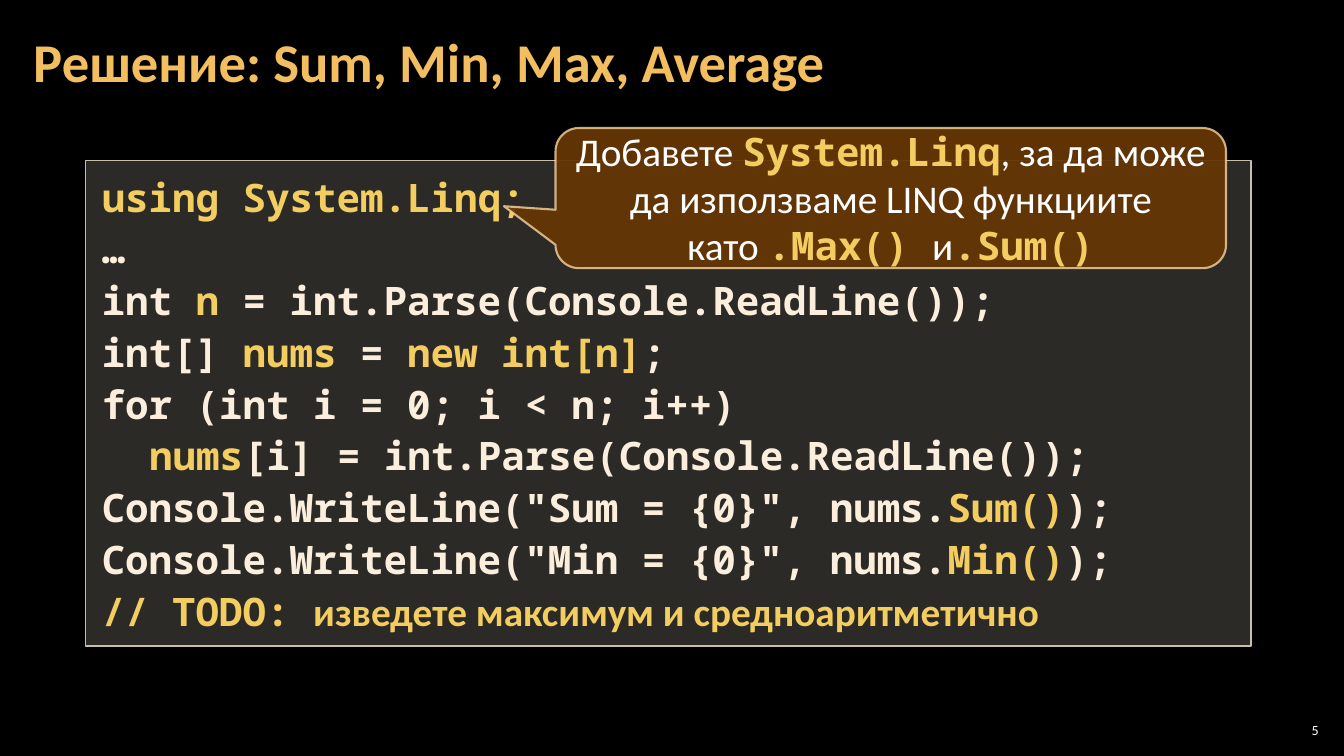
from pptx import Presentation
from pptx.dml.color import RGBColor
from pptx.enum.shapes import MSO_SHAPE as Preset
from pptx.enum.text import MSO_ANCHOR as Anchor, PP_ALIGN as Align
from pptx.oxml.ns import qn
from pptx.util import Inches, Pt
from lxml.etree import SubElement

BLACK = RGBColor(0x00, 0x00, 0x00)
WHITE = RGBColor(0xFF, 0xFF, 0xFF)
ORANGE = RGBColor(0xF3, 0xBE, 0x60)
YELLOW = RGBColor(0xF3, 0xCD, 0x60)
CREAM = RGBColor(0xFB, 0xEE, 0xDC)
STONE = RGBColor(0xD9, 0xD5, 0xC7)
STONE_EDGE = RGBColor(0xC7, 0xBF, 0xAC)
BROWN = RGBColor(0x66, 0x36, 0x06)
BROWN_EDGE = RGBColor(0xF8, 0xD4, 0x9E)

SANS, MONO = "Calibri", "Noto Sans Mono"
CODE_SIZE = 28
CODE_INDENT = Inches(0.47)  # two monospaced characters

# Run styles: font, colour, bold
PLAIN = (MONO, CREAM, True)
KEY = (MONO, YELLOW, True)
TODO = (SANS, YELLOW, True)
SPEECH = (SANS, WHITE, False)

# Each code line: indent level, then its runs
CODE = [
    (0, [("using System.Linq;", KEY)]),
    (0, [("…", PLAIN)]),
    (0, [("int ", PLAIN), ("n", KEY),
         (" = int.Parse(Console.ReadLine());", PLAIN)]),
    (0, [("int[] ", PLAIN), ("nums", KEY), (" = ", PLAIN),
         ("new int[n]", KEY), (";", PLAIN)]),
    (0, [("for (int i = 0; i < n; i++)", PLAIN)]),
    (1, [("nums", KEY), ("[i] = int.Parse(Console.ReadLine());", PLAIN)]),
    *[(0, [(f'Console.WriteLine("{name} = {{0}}", nums.', PLAIN),
           (f"{name}()", KEY), (");", PLAIN)]) for name in ("Sum", "Min")],
    (0, [("// TODO: ", KEY),
         ("изведете максимум и средноаритметично", TODO)]),
]
HINT = [
    ("Добавете ", SPEECH), ("System.Linq", KEY),
    (", за да може да използваме LINQ функциите като ", SPEECH),
    (".Max() ", KEY), ("и", SPEECH), (".Sum()", KEY),
]


def add_runs(para, runs, size):
    for text, (font, color, bold) in runs:
        span = para.add_run()
        span.text = text
        span.font.name, span.font.size, span.font.bold = font, Pt(size), bold
        span.font.color.rgb = color


def set_frame(shape, anchor, side, top):
    frame = shape.text_frame
    frame.word_wrap = True
    frame.vertical_anchor = anchor
    frame.margin_left = frame.margin_right = Inches(side)
    frame.margin_top = frame.margin_bottom = Inches(top)
    return frame


def set_opacity(color_format, percent):
    color = color_format._xFill.find(qn("a:srgbClr"))
    SubElement(color, qn("a:alpha")).set("val", str(percent * 1000))


def add_panel(page, box, preset, fill, opacity, edge, width):
    shape = page.shapes.add_shape(preset, *map(Inches, box))
    shape.shadow.inherit = False
    shape.fill.solid()
    shape.fill.fore_color.rgb = fill
    set_opacity(shape.fill.fore_color, opacity)
    shape.line.color.rgb = edge
    shape.line.width = Pt(width)
    return shape


def add_label(page, box, text, style, size, side, align=Align.LEFT):
    label = page.shapes.add_textbox(*map(Inches, box))
    para = set_frame(label, Anchor.MIDDLE, side, 0.04).paragraphs[0]
    para.alignment = align
    add_runs(para, [(text, style)], size)
    return para


def add_code(page, box):
    panel = add_panel(page, box, Preset.RECTANGLE, STONE, 20, STONE_EDGE, 1)
    frame = set_frame(panel, Anchor.TOP, 0.16, 0.08)
    for row, (level, runs) in enumerate(CODE):
        para = frame.add_paragraph() if row else frame.paragraphs[0]
        para.alignment = Align.LEFT
        para.line_spacing = 1.1
        if level:
            para._p.get_or_add_pPr().set("marL", str(level * CODE_INDENT))
        add_runs(para, runs, CODE_SIZE)


def add_hint(page, box):
    callout = add_panel(page, box, Preset.ROUNDED_RECTANGULAR_CALLOUT,
                        BROWN, 95, BROWN_EDGE, 1.5)
    set_opacity(callout.line.color, 80)
    for index, value in enumerate((-0.577, 0.058, 0.167)):
        callout.adjustments[index] = value
    para = set_frame(callout, Anchor.MIDDLE, 0.1, 0.05).paragraphs[0]
    para.alignment = Align.CENTER
    add_runs(para, HINT, CODE_SIZE)


deck = Presentation()
deck.slide_width, deck.slide_height = Inches(13.33), Inches(7.5)
page = deck.slides.add_slide(deck.slide_layouts[6])
page.background.fill.solid()
page.background.fill.fore_color.rgb = BLACK

# Slide number and title
add_label(page, (12.65, 7.14, 0.47, 0.21), "5", SPEECH, 10, 0.04, Align.RIGHT)
title = add_label(page, (0.21, 0.04, 10.47, 1.21),
                  "Решение: Sum, Min, Max, Average", (SANS, ORANGE, True), 39, 0.12)
title.line_spacing = 0.9

# Code listing with the hint over it
add_code(page, (0.85, 1.59, 11.56, 4.82))
add_hint(page, (5.51, 1.27, 6.65, 1.39))

deck.save("out.pptx")
